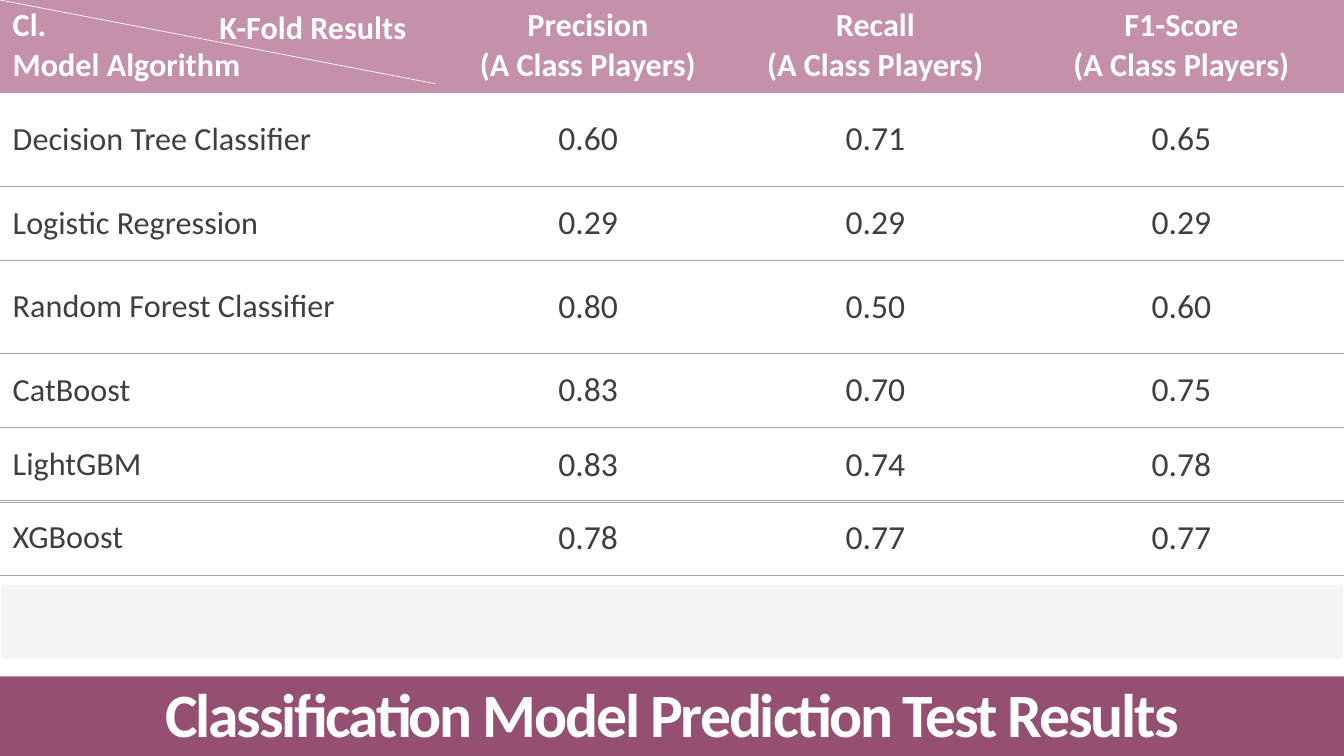
from lxml.etree import SubElement
from pptx import Presentation
from pptx.dml.color import RGBColor
from pptx.enum.shapes import MSO_CONNECTOR, MSO_SHAPE
from pptx.enum.text import MSO_ANCHOR, PP_ALIGN
from pptx.oxml import parse_xml
from pptx.oxml.ns import nsdecls, qn
from pptx.util import Pt

WIDTH, HEIGHT = 960, 540
FONT = "Calibri"
WHITE, INK, RULE = "FFFFFF", "3F3F3F", "A6A6A6"
HEADER_FILL, TITLE_FILL, BAND_FILL = "C490AA", "954F72", "EDEDED"
NO_TABLE_STYLE = "{2D5ABB26-0587-4C30-8999-92F81FD0307C}"

COLUMN_WIDTHS = [317.5, 205.2, 205.2, 232.1]
HEADERS = ["Cl.\nModel Algorithm"] + [
    f"{metric}\n(A Class Players)" for metric in ("Precision", "Recall", "F1-Score")
]
MODEL_ROWS = [
    ["Decision Tree Classifier", "0.60", "0.71", "0.65"],
    ["Logistic Regression", "0.29", "0.29", "0.29"],
    ["Random Forest Classifier", "0.80", "0.50", "0.60"],
    ["CatBoost", "0.83", "0.70", "0.75"],
    ["LightGBM", "0.83", "0.74", "0.78"],
]
XGBOOST_ROW = ["XGBoost", "0.78", "0.77", "0.77"]
TALL_ROW, SHORT_ROW = 66.3, 53.2


def color(hex_string):
    return RGBColor.from_string(hex_string)


def format_text(text_frame, size, hex_string, bold=False, alignment=PP_ALIGN.LEFT):
    for paragraph in text_frame.paragraphs:
        paragraph.alignment = alignment
        for run in paragraph.runs:
            run.font.name = FONT
            run.font.size = Pt(size)
            run.font.bold = bold
            run.font.color.rgb = color(hex_string)


def add_border(cell, side):
    """Draw a thin rule on one side of a cell: T or B."""
    properties = cell._tc.get_or_add_tcPr()
    properties.append(parse_xml(
        f'<a:ln{side} {nsdecls("a")} w="3175"><a:solidFill>'
        f'<a:srgbClr val="{RULE}"/></a:solidFill></a:ln{side}>'
    ))


def fill_cell(cell, text, is_header, is_label):
    cell.text_frame.text = text
    cell.vertical_anchor = MSO_ANCHOR.MIDDLE
    cell.margin_left = cell.margin_right = Pt(9.1)
    cell.margin_top = cell.margin_bottom = Pt(4.55)
    format_text(
        cell.text_frame,
        23 if is_header or is_label else 24,
        WHITE if is_header else INK,
        is_header,
        PP_ALIGN.LEFT if is_label else PP_ALIGN.CENTER,
    )
    if is_header:
        cell.fill.solid()
        cell.fill.fore_color.rgb = color(HEADER_FILL)
    else:
        add_border(cell, "B")
        cell.fill.background()


def add_results_table(slide, left, top, rows, row_heights, has_header):
    frame = slide.shapes.add_table(
        len(rows), len(COLUMN_WIDTHS), Pt(left), Pt(top),
        Pt(sum(COLUMN_WIDTHS)), Pt(sum(row_heights)),
    )
    table = frame.table
    table.first_row = has_header
    table.horz_banding = False
    table._tbl.tblPr.find(qn("a:tableStyleId")).text = NO_TABLE_STYLE
    for column, width in zip(table.columns, COLUMN_WIDTHS):
        column.width = Pt(width)
    for row_index, (values, height) in enumerate(zip(rows, row_heights)):
        table.rows[row_index].height = Pt(height)
        for column_index, value in enumerate(values):
            cell = table.cell(row_index, column_index)
            is_header = has_header and row_index == 0
            if row_index == 0 and not has_header:
                add_border(cell, "T")
            fill_cell(cell, value, is_header, column_index == 0)


def add_header_split(slide, left, top, width, height):
    """Diagonal and upper label of the first header cell."""
    diagonal = slide.shapes.add_connector(
        MSO_CONNECTOR.STRAIGHT, Pt(left + width), Pt(top + height), Pt(left), Pt(top)
    )
    diagonal.line.color.rgb = color(WHITE)
    diagonal.line.width = Pt(0.5)
    SubElement(diagonal._element.spPr, qn("a:effectLst"))

    label = slide.shapes.add_textbox(Pt(left + 149.6), Pt(top + 1.5), Pt(170), Pt(35.3))
    label.text_frame.word_wrap = True
    label.text_frame.text = "K-Fold Results"
    format_text(label.text_frame, 23, WHITE, bold=True)


def add_bar(slide, left, top, width, height, fill):
    bar = slide.shapes.add_shape(
        MSO_SHAPE.RECTANGLE, Pt(left), Pt(top), Pt(width), Pt(height)
    )
    bar.shadow.inherit = False
    bar.fill.solid()
    bar.fill.fore_color.rgb = color(fill)
    bar.line.fill.background()
    return bar


def add_band(slide, left, top, width, height):
    """Half-transparent grey band with a white outline."""
    band = add_bar(slide, left, top, width, height, BAND_FILL)
    band.line.color.rgb = color(WHITE)
    band.line.width = Pt(0.75)
    fill_color = band._element.spPr.find(qn("a:solidFill")).find(qn("a:srgbClr"))
    SubElement(fill_color, qn("a:alpha")).set("val", "50000")


def add_title(slide, left, top, width, height):
    title = add_bar(slide, left, top, width, height, TITLE_FILL)
    text_frame = title.text_frame
    text_frame.word_wrap = True
    text_frame.vertical_anchor = MSO_ANCHOR.BOTTOM
    text_frame.text = "Classification Model Prediction Test Results"
    format_text(text_frame, 44, WHITE, True, PP_ALIGN.CENTER)
    paragraph = text_frame.paragraphs[0]
    paragraph.line_spacing = 0.9
    paragraph.runs[0].font._element.set("spc", "-150")


def main():
    presentation = Presentation()
    presentation.slide_width, presentation.slide_height = Pt(WIDTH), Pt(HEIGHT)
    slide = presentation.slides.add_slide(presentation.slide_layouts[6])

    row_heights = [67.8, TALL_ROW, SHORT_ROW, TALL_ROW, SHORT_ROW, SHORT_ROW]
    add_results_table(slide, 0, -1.3, [HEADERS] + MODEL_ROWS, row_heights, True)
    add_title(slide, 0, 483.2, WIDTH, 56.8)
    add_band(slide, 0, 417.6, WIDTH, 53.5)
    add_header_split(slide, 0, 0, 311, 59.8)
    add_results_table(slide, 0, 357.4, [XGBOOST_ROW], [SHORT_ROW], False)
    presentation.save("out.pptx")


if __name__ == "__main__":
    main()
